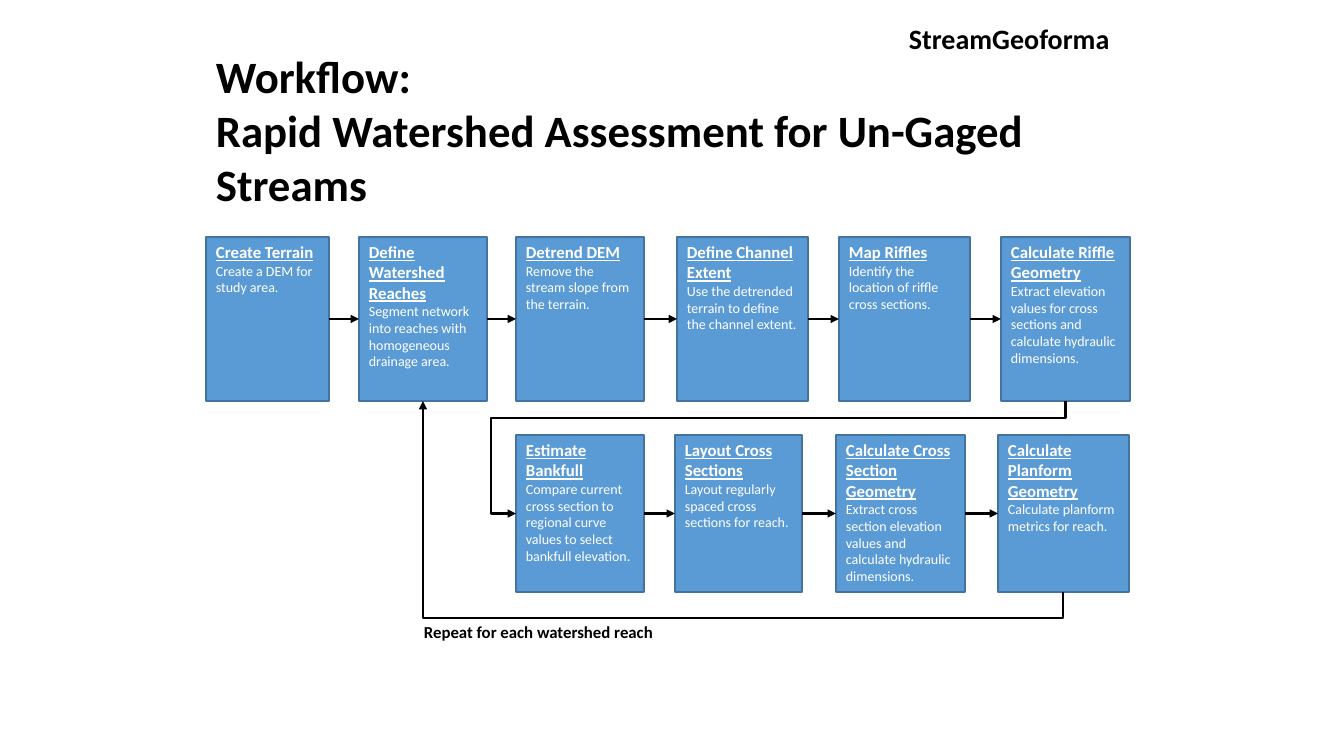
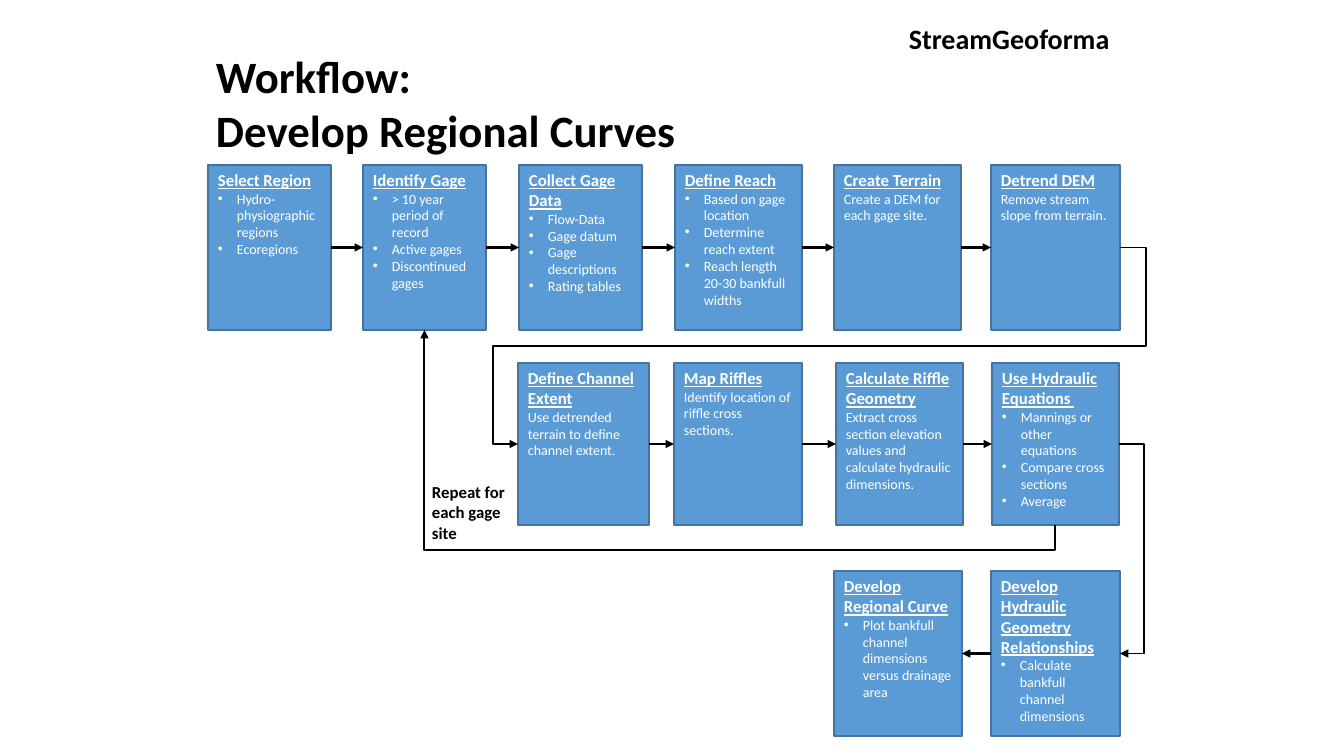
"""Build two workflow slides made of linked step boxes."""
import itertools

import lxml.etree
import pptx
import pptx.dml.color
import pptx.enum.shapes
import pptx.enum.text
import pptx.oxml.ns
import pptx.util

BLACK = pptx.dml.color.RGBColor(0x00, 0x00, 0x00)
WHITE = pptx.dml.color.RGBColor(0xFF, 0xFF, 0xFF)
STEP_BLUE = pptx.dml.color.RGBColor(0x5B, 0x9B, 0xD5)
STEP_EDGE = pptx.dml.color.RGBColor(0x43, 0x73, 0x9E)
FONT = "Calibri"
BRAND = "StreamGeoforma"
PIXELS_PER_INCH = 100.8
TOP, LEFT, BOTTOM, RIGHT = range(4)
CONNECTOR = pptx.enum.shapes.MSO_CONNECTOR
QUARTER_TURN = "5400000"
BULLET_INDENT = 19


def emu(pixels):
    """Turn pixels into EMU."""
    return round(pixels * 914400 / PIXELS_PER_INCH)


def add_xml(parent, tag, **attributes):
    """Append a child element with the given attributes."""
    return lxml.etree.SubElement(parent, pptx.oxml.ns.qn(tag), attributes)


def style_paragraph(paragraph, text, size, color, bold=False, underline=False):
    """Fill one paragraph and set its font."""
    paragraph.text = text
    paragraph.alignment = pptx.enum.text.PP_ALIGN.LEFT
    font = paragraph.font
    font.name, font.size = FONT, pptx.util.Pt(size)
    font.bold, font.underline = bold, underline
    font.color.rgb = color


def next_paragraph(text_frame, index):
    """Return the first paragraph, or a new one after it."""
    return text_frame.add_paragraph() if index else text_frame.paragraphs[0]


def add_label(slide, box, lines, size, wrap=False):
    """Place bold black lines in a text box."""
    shape = slide.shapes.add_textbox(*map(emu, box))
    shape.text_frame.word_wrap = wrap
    for index, line in enumerate(lines):
        style_paragraph(next_paragraph(shape.text_frame, index), line, size, BLACK, bold=True)


def add_bullet(paragraph):
    """Give a paragraph a hanging bullet."""
    properties = paragraph._p.get_or_add_pPr()
    properties.set("marL", str(emu(BULLET_INDENT)))
    properties.set("indent", str(-emu(BULLET_INDENT)))
    add_xml(properties, "a:buFont", typeface="Arial")
    add_xml(properties, "a:buChar", char="•")


def add_step(slide, box, heading, body):
    """Draw a step box; a list as body becomes bullets."""
    shape = slide.shapes.add_shape(pptx.enum.shapes.MSO_SHAPE.RECTANGLE, *map(emu, box))
    shape.shadow.inherit = False
    shape.fill.solid()
    shape.fill.fore_color.rgb = STEP_BLUE
    shape.line.color.rgb = STEP_EDGE
    shape.line.width = pptx.util.Pt(1)
    text_frame = shape.text_frame
    text_frame.word_wrap = True
    text_frame.vertical_anchor = pptx.enum.text.MSO_ANCHOR.TOP
    for index, line in enumerate(heading.split("\n")):
        style_paragraph(next_paragraph(text_frame, index), line, 12, WHITE, True, True)
    bulleted = isinstance(body, list)
    for line in body if bulleted else [body]:
        paragraph = text_frame.add_paragraph()
        style_paragraph(paragraph, line, 10, WHITE)
        if bulleted:
            add_bullet(paragraph)
    return shape


def add_arrow(slide, start, start_site, end, end_site, kind=CONNECTOR.STRAIGHT, width=1.5):
    """Glue an arrow between two steps."""
    connector = slide.shapes.add_connector(kind, 0, 0, 0, 0)
    connector.begin_connect(start, start_site)
    connector.end_connect(end, end_site)
    connector.line.color.rgb = BLACK
    connector.line.width = pptx.util.Pt(width)
    add_xml(connector.line._get_or_add_ln(), "a:tailEnd", type="triangle")
    add_xml(connector.element.spPr, "a:effectLst")
    return connector


def add_elbow(slide, start, start_site, end, end_site, lanes, width=1.5):
    """Glue a bent arrow that runs along the given lanes, alternately x and y."""
    connector = add_arrow(slide, start, start_site, end, end_site, CONNECTOR.ELBOW, width)
    begin = connector.begin_x, connector.begin_y
    span = connector.end_x - begin[0], connector.end_y - begin[1]
    first_axis = 1 if start_site == BOTTOM else 0
    properties = connector.element.spPr
    frame = properties.find(pptx.oxml.ns.qn("a:xfrm"))
    if first_axis:
        across, along = abs(span[0]), abs(span[1])
        connector.left = round(begin[0] + (span[0] - along) / 2)
        connector.top = round(begin[1] + (span[1] - across) / 2)
        connector.width, connector.height = along, across
        frame.set("rot", QUARTER_TURN)
    frame.set("flipH", "1" if span[first_axis] < 0 else "0")
    frame.set("flipV", "0")
    geometry = properties.find(pptx.oxml.ns.qn("a:prstGeom"))
    geometry.set("prst", f"bentConnector{len(lanes) + 2}")
    guides = geometry.find(pptx.oxml.ns.qn("a:avLst"))
    for index, lane in enumerate(lanes):
        axis = (first_axis + index) % 2
        share = round((emu(lane) - begin[axis]) / span[axis] * 100000)
        add_xml(guides, "a:gd", name=f"adj{index + 1}", fmla=f"val {share}")


def add_row(slide, top, height, steps, leftward=False):
    """Draw a row of steps and link each to its neighbour."""
    shapes = [add_step(slide, (left, top, width, height), heading, body)
              for left, width, heading, body in steps]
    for near, far in itertools.pairwise(shapes):
        if leftward:
            add_arrow(slide, far, LEFT, near, RIGHT)
        else:
            add_arrow(slide, near, RIGHT, far, LEFT)
    return shapes


def add_workflow_slide(presentation, title, title_height):
    """Add a slide with the shared brand name and title."""
    slide = presentation.slides.add_slide(presentation.slide_layouts[6])
    add_label(slide, (899, 17, 222, 44), [BRAND], 20)
    add_label(slide, (206, 44, 936, title_height), ["Workflow:", title], 32, wrap=True)
    return slide


def build_assessment(presentation):
    """Build the watershed assessment slide."""
    slide = add_workflow_slide(
        presentation, "Rapid Watershed Assessment for Un-Gaged Streams", 173)
    terrain = add_row(slide, 237, 164, [
        (206, 123, "Create Terrain", "Create a DEM for study area."),
        (359, 128, "Define Watershed Reaches",
         "Segment network into reaches with homogeneous drainage area."),
        (516, 128, "Detrend DEM", "Remove the stream slope from the terrain."),
        (677, 131, "Define Channel Extent",
         "Use the detrended terrain to define the channel extent."),
        (839, 131, "Map Riffles", "Identify the location of riffle cross sections."),
        (1001, 129, "Calculate Riffle Geometry",
         "Extract elevation values for cross sections and calculate hydraulic dimensions."),
    ])
    sections = add_row(slide, 435, 157, [
        (516, 128, "Estimate Bankfull",
         "Compare current cross section to regional curve values to select bankfull elevation."),
        (675, 127, "Layout Cross Sections",
         "Layout regularly spaced cross sections for reach."),
        (836, 129, "Calculate Cross Section Geometry",
         "Extract cross section elevation values and calculate hydraulic dimensions."),
        (998, 131, "Calculate Planform Geometry", "Calculate planform metrics for reach."),
    ])
    add_elbow(slide, terrain[-1], BOTTOM, sections[0], LEFT, [418, 491])
    add_elbow(slide, sections[-1], BOTTOM, terrain[1], BOTTOM, [618])
    add_label(slide, (414, 617, 252, 30), ["Repeat for each watershed reach"], 12)


def build_curves(presentation):
    """Build the regional curves slide."""
    slide = add_workflow_slide(presentation, "Develop Regional Curves", 119)
    gages = add_row(slide, 165, 165, [
        (208, 123, "Select Region", ["Hydro-physiographic regions", "Ecoregions"]),
        (363, 123, "Identify Gage",
         ["> 10 year period of record", "Active gages", "Discontinued gages"]),
        (519, 123, "Collect Gage Data",
         ["Flow-Data", "Gage datum", "Gage descriptions", "Rating tables"]),
        (675, 127, "Define Reach",
         ["Based on gage location", "Determine reach extent",
          "Reach length 20-30 bankfull widths"]),
        (834, 127, "Create Terrain", "Create a DEM for each gage site."),
        (991, 129, "Detrend DEM", "Remove stream slope from terrain."),
    ])
    riffles = add_row(slide, 363, 162, [
        (518, 131, "Define Channel Extent",
         "Use detrended terrain to define channel extent."),
        (674, 128, "Map Riffles", "Identify location of riffle cross sections."),
        (836, 127, "Calculate Riffle Geometry",
         "Extract cross section elevation values and calculate hydraulic dimensions."),
        (992, 127, "Use Hydraulic\nEquations ",
         ["Mannings or other equations", "Compare cross sections", "Average"]),
    ])
    curves = add_row(slide, 571, 165, [
        (834, 128, "Develop Regional Curve",
         ["Plot bankfull channel dimensions versus drainage area"]),
        (991, 129, "Develop Hydraulic Geometry Relationships",
         ["Calculate bankfull channel dimensions"]),
    ], leftward=True)
    add_elbow(slide, gages[-1], RIGHT, riffles[0], LEFT, [1146, 346, 493], 1.25)
    add_elbow(slide, riffles[-1], BOTTOM, gages[1], BOTTOM, [550])
    add_elbow(slide, riffles[-1], RIGHT, curves[-1], RIGHT, [1144], 1.25)
    add_label(slide, (422, 477, 98, 72), ["Repeat for", "each gage", "site"], 12)


def main():
    """Build and save the presentation."""
    presentation = pptx.Presentation()
    presentation.slide_width, presentation.slide_height = emu(1344), emu(756)
    build_assessment(presentation)
    build_curves(presentation)
    presentation.save("out.pptx")


main()
